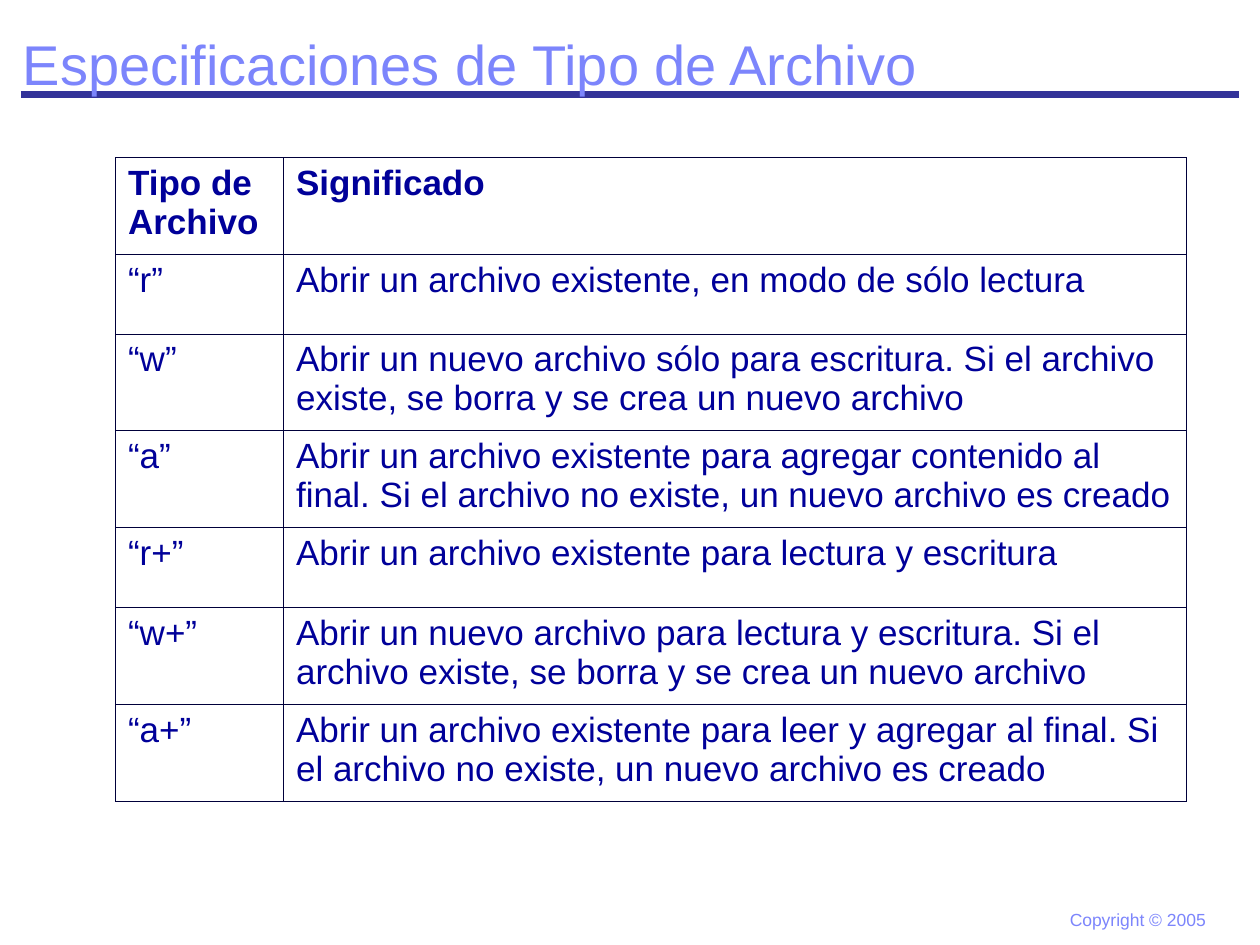
from lxml import etree
from pptx import Presentation, util as u
from pptx.dml.color import RGBColor
from pptx.enum import shapes, text
from pptx.oxml import ns

COLUMNS, ROWS = 120, 90
WIDTH, HEIGHT = u.Inches(10), u.Inches(7.5)
FONT = "Arial"
LIGHT_BLUE, RULE_BLUE, TEXT_BLUE, BORDER, WHITE = "7C85FC", "333399", "000099", "00003A", "FFFFFF"

FILE_TYPES = [
    ("Tipo de Archivo", "Significado"),
    ("“r”", "Abrir un archivo existente, en modo de sólo lectura"),
    ("“w”", "Abrir un nuevo archivo sólo para escritura. Si el archivo existe, se borra y se crea un nuevo archivo"),
    ("“a”", "Abrir un archivo existente para agregar contenido al final. "
            "Si el archivo no existe, un nuevo archivo es creado"),
    ("“r+”", "Abrir un archivo existente para lectura y escritura"),
    ("“w+”", "Abrir un nuevo archivo para lectura y escritura. Si el archivo existe, se borra y se crea un nuevo archivo"),
    ("“a+”", "Abrir un archivo existente para leer y agregar al final. "
             "Si el archivo no existe, un nuevo archivo es creado"),
]
TYPE_COLUMNS = 16
TALL_ROW, SHORT_ROW = 9.24, 7.56
SHORT_TYPES = ("“r”", "“r+”")


def color(value):
    return RGBColor.from_string(value)


def across(columns):
    return u.Emu(round(WIDTH * columns / COLUMNS))


def down(rows):
    return u.Emu(round(HEIGHT * rows / ROWS))


def place(box):
    left, top, width, height = box
    return across(left), down(top), across(width), down(height)


def set_font(paragraph, size, value, bold=False):
    paragraph.font.name = FONT
    paragraph.font.size = u.Pt(size)
    paragraph.font.bold = bold
    paragraph.font.color.rgb = color(value)


def add_text(slide, box, words, size, anchor, wrap):
    frame = slide.shapes.add_textbox(*place(box)).text_frame
    frame.word_wrap = wrap
    frame.vertical_anchor = anchor
    frame.text = words
    set_font(frame.paragraphs[0], size, LIGHT_BLUE)
    return frame


def add_rule(slide, box):
    left, top, width, height = place(box)
    rule = slide.shapes.add_connector(shapes.MSO_CONNECTOR.STRAIGHT, left, top, left + width, top + height)
    rule.line.color.rgb = color(RULE_BLUE)
    rule.line.width = u.Pt(4.5)
    etree.SubElement(rule._element.spPr, ns.qn("a:effectLst"))


def add_title(slide, box):
    add_text(slide, box, "Especificaciones de Tipo de Archivo", 32, text.MSO_ANCHOR.MIDDLE, True)


def add_footer(slide, box):
    frame = add_text(slide, box, "Copyright © 2005", 10, text.MSO_ANCHOR.TOP, False)
    frame.auto_size = text.MSO_AUTO_SIZE.SHAPE_TO_FIT_TEXT


def set_borders(cell):
    properties = cell._tc.get_or_add_tcPr()
    for position, side in enumerate(("a:lnL", "a:lnR", "a:lnT", "a:lnB")):
        line = etree.Element(ns.qn(side), w=str(u.Pt(0.45)))
        fill = etree.SubElement(line, ns.qn("a:solidFill"))
        etree.SubElement(fill, ns.qn("a:srgbClr"), val=BORDER)
        properties.insert(position, line)


def fill_cell(cell, words, bold):
    cell.text = words
    cell.fill.solid()
    cell.fill.fore_color.rgb = color(WHITE)
    paragraph = cell.text_frame.paragraphs[0]
    paragraph.space_before = u.Pt(5)
    set_font(paragraph, 20, TEXT_BLUE, bold)
    set_borders(cell)


def add_file_types(slide, box):
    table = slide.shapes.add_table(len(FILE_TYPES), 2, *place(box)).table
    table.horz_banding = False
    table.columns[0].width = across(TYPE_COLUMNS)
    table.columns[1].width = across(box[2] - TYPE_COLUMNS)
    for index, entry in enumerate(FILE_TYPES):
        table.rows[index].height = down(SHORT_ROW if entry[0] in SHORT_TYPES else TALL_ROW)
        for column, words in enumerate(entry):
            fill_cell(table.cell(index, column), words, index == 0)


def main():
    presentation = Presentation()
    presentation.slide_width, presentation.slide_height = WIDTH, HEIGHT
    slide = presentation.slides.add_slide(presentation.slide_layouts[6])
    add_rule(slide, (2, 9, 116, 0))
    add_footer(slide, (100.7, 86, 15.3, 3.2))
    add_title(slide, (1, 2, 117, 8))
    add_file_types(slide, (11, 15, 102, 5 * TALL_ROW + 2 * SHORT_ROW))
    presentation.save("out.pptx")


if __name__ == "__main__":
    main()
